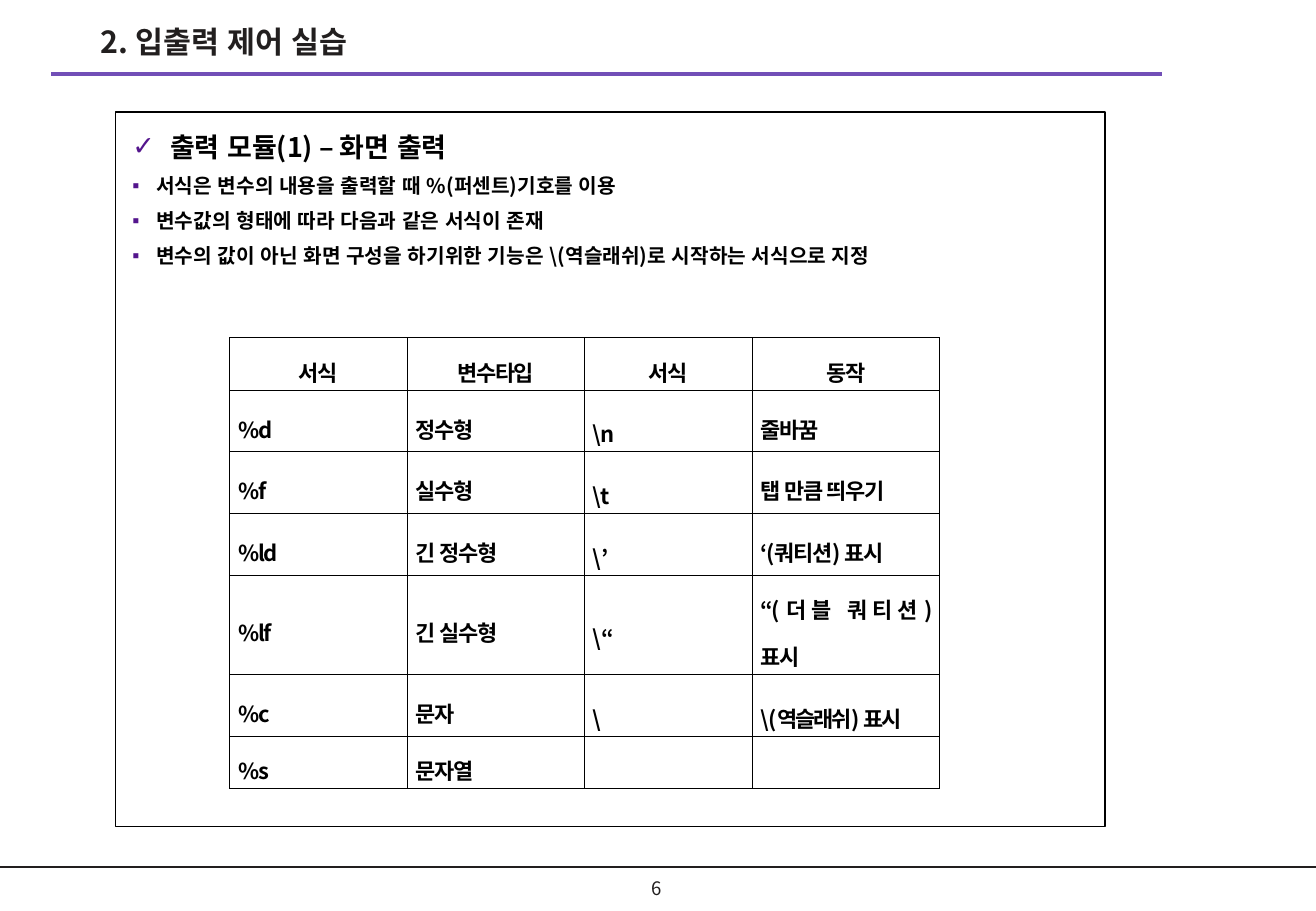
from dataclasses import dataclass

from lxml.etree import SubElement
from pptx import Presentation
from pptx.dml.color import RGBColor
from pptx.enum.lang import MSO_LANGUAGE_ID as Language
from pptx.enum.shapes import MSO_CONNECTOR as Connector
from pptx.enum.text import MSO_ANCHOR as Anchor, MSO_AUTO_SIZE as AutoSize, PP_ALIGN as Align
from pptx.oxml.ns import qn
from pptx.util import Cm, Pt

FONT = "Noto Sans CJK KR"
BLACK = RGBColor(0x00, 0x00, 0x00)
INK = RGBColor(0x22, 0x1F, 0x1F)
RULE_PURPLE = RGBColor(0x72, 0x4F, 0xB7)
BULLET_PURPLE = RGBColor(0x54, 0x15, 0x8D)


@dataclass
class Rule:
    left: float
    right: float
    y: float
    color: RGBColor
    width: float


@dataclass
class Bullet:
    text: str
    mark: str
    size: float
    indent: float


RULES = [
    Rule(0, 27.52, 18.13, INK, 1),
    Rule(1.07, 24.3, 1.54, RULE_PURPLE, 2.25),
]
BULLETS = [
    Bullet("출력 모듈(1) – 화면 출력", "✓", 16, 0.79),
    Bullet("서식은 변수의 내용을 출력할 때 %(퍼센트)기호를 이용", "▪", 12, 0.5),
    Bullet("변수값의 형태에 따라 다음과 같은 서식이 존재", "▪", 12, 0.5),
    Bullet("변수의 값이 아닌 화면 구성을 하기위한 기능은 \\(역슬래쉬)로 시작하는 서식으로 지정", "▪", 12, 0.5),
]
FORMAT_ROWS = [
    ("서식", "변수타입", "서식", "동작"),
    ("%d", "정수형", "\\n", "줄바꿈"),
    ("%f", "실수형", "\\t", "탭 만큼 띄우기"),
    ("%ld", "긴 정수형", "\\’", "‘(쿼티션) 표시"),
    ("%lf", "긴 실수형", "\\“", "“(더블 쿼티션) 표시"),
    ("%c", "문자", "\\", "\\(역슬래쉬) 표시"),
    ("%s", "문자열", "", ""),
]
COLUMN_WIDTHS = (3.71, 3.71, 3.5, 3.93)
ROW_HEIGHT = 1.04


def apply(target, values: dict) -> None:
    for name, value in values.items():
        setattr(target, name, value)


def place(shape, left: float, top: float, width: float, height: float) -> None:
    apply(shape, {"left": Cm(left), "top": Cm(top), "width": Cm(width), "height": Cm(height)})


def add_run(paragraph, text: str, size: float, color: RGBColor, bold: bool = True, spacing: int = 0) -> None:
    run = paragraph.add_run()
    run.text = text
    apply(run.font, {"name": FONT, "size": Pt(size), "bold": bold, "language_id": Language.KOREAN})
    run.font.color.rgb = color
    properties = run._r.get_or_add_rPr()
    SubElement(properties, qn("a:ea")).set("typeface", FONT)
    if spacing:
        properties.set("spc", str(spacing))


def add_rule(slide, rule: Rule) -> None:
    line = slide.shapes.add_connector(
        Connector.STRAIGHT, Cm(rule.left), Cm(rule.y), Cm(rule.right), Cm(rule.y))
    line.line.color.rgb = rule.color
    line.line.width = Pt(rule.width)
    SubElement(line._element.spPr, qn("a:effectLst"))


def add_bullet(paragraph, bullet: Bullet) -> None:
    apply(paragraph, {"alignment": Align.LEFT, "line_spacing": 1.3, "space_before": Pt(2)})
    properties = paragraph._p.get_or_add_pPr()
    properties.set("marL", str(Cm(bullet.indent)))
    properties.set("indent", str(-Cm(bullet.indent)))
    color = SubElement(properties, qn("a:buClr"))
    SubElement(color, qn("a:srgbClr")).set("val", str(BULLET_PURPLE))
    SubElement(properties, qn("a:buChar")).set("char", bullet.mark)
    add_run(paragraph, bullet.text, bullet.size, BLACK)


def add_borders(cell) -> None:
    properties = cell._tc.get_or_add_tcPr()
    for side in ("a:lnL", "a:lnR", "a:lnT", "a:lnB"):
        border = SubElement(properties, qn(side), w=str(Pt(0.28)))
        fill = SubElement(border, qn("a:solidFill"))
        SubElement(fill, qn("a:srgbClr")).set("val", str(BLACK))


def fill_cell(cell, text: str, is_header: bool) -> None:
    apply(cell, {"vertical_anchor": Anchor.MIDDLE, "margin_left": Cm(0.18), "margin_right": Cm(0.18),
                 "margin_top": Cm(0.05), "margin_bottom": Cm(0.05)})
    add_borders(cell)
    cell.fill.background()
    paragraph = cell.text_frame.paragraphs[0]
    paragraph.alignment = Align.CENTER if is_header else Align.JUSTIFY
    if text.startswith("\\"):
        paragraph.line_spacing = 1.8
        tail = text[1:]
        pieces = [("\\", -70), (tail, -70 if tail.isalpha() else -110)]
    else:
        apply(paragraph, {"line_spacing": 1.5, "space_after": Pt(2.8)})
        pieces = [(text, -70)]
    for piece, spacing in pieces:
        if piece:
            add_run(paragraph, piece, 13, BLACK, spacing=spacing)


def add_format_table(slide) -> None:
    table = slide.shapes.add_table(
        len(FORMAT_ROWS), len(COLUMN_WIDTHS), Cm(4.8), Cm(7.06),
        Cm(sum(COLUMN_WIDTHS)), Cm(ROW_HEIGHT * len(FORMAT_ROWS))).table
    apply(table, {"first_row": False, "horz_banding": False})
    for column, width in zip(table.columns, COLUMN_WIDTHS):
        column.width = Cm(width)
    for row_index, texts in enumerate(FORMAT_ROWS):
        for column_index, text in enumerate(texts):
            fill_cell(table.cell(row_index, column_index), text, row_index == 0)


def main() -> None:
    presentation = Presentation()
    apply(presentation, {"slide_width": Cm(27.52), "slide_height": Cm(19.05)})
    slide = presentation.slides.add_slide(presentation.slide_layouts[1])
    for rule in RULES:
        add_rule(slide, rule)

    title = slide.shapes.title
    place(title, 1.85, 0.36, 14.1, 1.22)
    apply(title.text_frame, {"vertical_anchor": Anchor.TOP, "auto_size": AutoSize.NONE})
    heading = title.text_frame.paragraphs[0]
    heading.alignment = Align.LEFT
    add_run(heading, "2. 입출력 제어 실습", 18, INK)

    body = slide.placeholders[1]
    place(body, 2.41, 2.34, 20.7, 14.94)
    body.line.color.rgb = BLACK
    body.line.width = Pt(0.75)
    frame = body.text_frame
    apply(frame, {"vertical_anchor": Anchor.TOP, "auto_size": AutoSize.NONE, "margin_left": Cm(0.36),
                  "margin_right": Cm(0.36), "margin_top": Cm(0.18), "margin_bottom": Cm(0.18)})
    for index, bullet in enumerate(BULLETS):
        add_bullet(frame.add_paragraph() if index else frame.paragraphs[0], bullet)

    add_format_table(slide)

    page = slide.shapes.add_textbox(Cm(12.95), Cm(18.16), Cm(1.55), Cm(0.84))
    apply(page.text_frame, {"word_wrap": True, "vertical_anchor": Anchor.MIDDLE})
    number = page.text_frame.paragraphs[0]
    number.alignment = Align.CENTER
    add_run(number, "6", 11, INK, bold=False)

    presentation.save("out.pptx")


if __name__ == "__main__":
    main()
